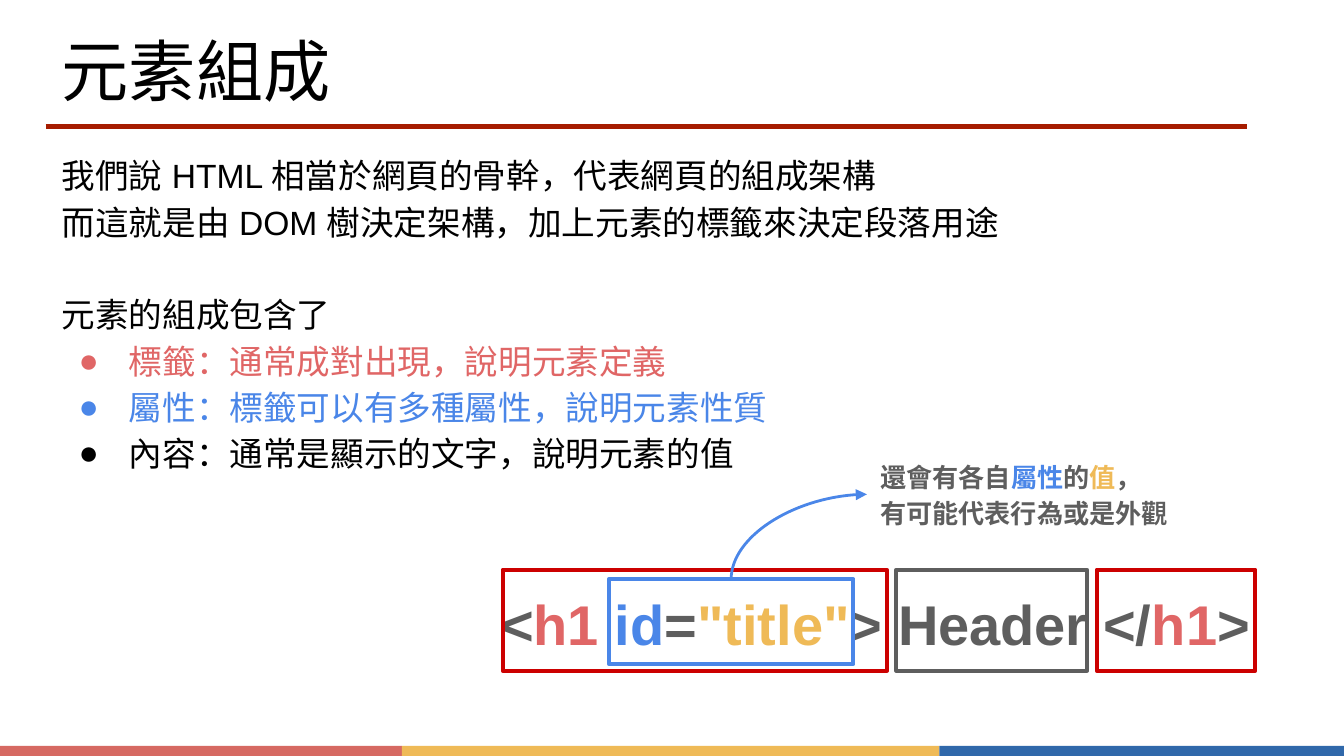
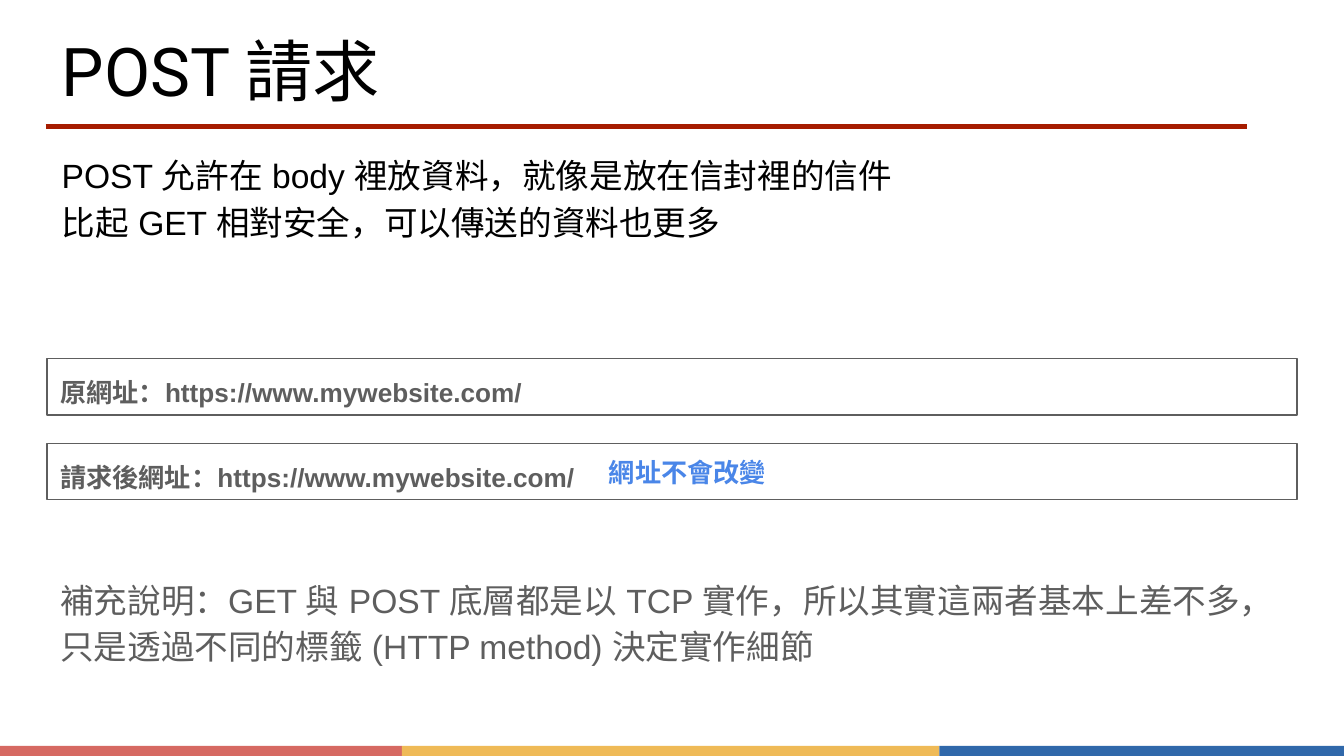
from dataclasses import dataclass
from itertools import pairwise

from lxml.etree import SubElement
from pptx import Presentation
from pptx.dml.color import RGBColor
from pptx.enum.shapes import MSO_CONNECTOR as Connector, MSO_SHAPE as Shape
from pptx.enum.text import MSO_ANCHOR as Anchor, MSO_AUTO_SIZE as AutoSize, PP_ALIGN as Align
from pptx.oxml.ns import qn
from pptx.util import Pt


@dataclass(frozen=True)
class Theme:
    black: str = "000000"
    grey: str = "5E5E5E"
    coral: str = "E06666"
    blue: str = "4A86E8"
    gold: str = "EFBA57"
    tag_red: str = "CC0000"
    rule_red: str = "A61C00"
    bands: tuple = ("D66962", "EFBA57", "3068AA")
    title_font: str = "Roboto"
    text_font: str = "Arial"
    title_size: int = 36
    code_size: int = 30
    body_size: int = 18
    note_size: int = 14


@dataclass
class Para:
    spans: list
    bullet: str = ""
    before: float = 0


THEME = Theme()
WIDTH, HEIGHT = 720, 405
BODY_AREA = (30.2, 77, 671, 304.6)
BAND_EDGES = (0, 215.3, 503.3, WIDTH)


def rgb(value):
    return RGBColor.from_string(value)


def add_bullet(para, color):
    props = para._p.get_or_add_pPr()
    props.set("marL", str(Pt(36)))
    props.set("indent", str(Pt(-27)))
    SubElement(SubElement(props, qn("a:buClr")), qn("a:srgbClr"), val=color)
    SubElement(props, qn("a:buFont"), typeface=THEME.text_font)
    SubElement(props, qn("a:buChar"), char="●")


def write(frame, paras, *, size, color=THEME.black, font=THEME.text_font, bold=False,
          align=Align.LEFT, anchor=Anchor.TOP, inset=7.2, spacing=1.0, after=0):
    """Fill a text frame; paras is a string or a list of Para with (text, colour) spans."""
    if isinstance(paras, str):
        paras = [Para([(paras, color)])]
    frame.word_wrap = True
    frame.auto_size = AutoSize.NONE
    frame.vertical_anchor = anchor
    frame.margin_left = frame.margin_right = Pt(inset)
    frame.margin_top = frame.margin_bottom = Pt(inset)
    for number, item in enumerate(paras):
        para = frame.add_paragraph() if number else frame.paragraphs[0]
        if item.bullet:
            add_bullet(para, item.bullet)
        para.alignment = align
        para.line_spacing = spacing
        para.space_before, para.space_after = Pt(item.before), Pt(after)
        for text, span_color in item.spans:
            for row, line in enumerate(text.split("\n")):
                if row:
                    para.add_line_break()
                span = para.add_run()
                span.text = line
                span.font.size = Pt(size)
                span.font.name = font
                span.font.bold = bold
                span.font.color.rgb = rgb(span_color)
                SubElement(span._r.get_or_add_rPr(), qn("a:ea"), typeface=font)


class SlideMaker:
    def __init__(self, deck):
        self.deck = deck
        self.page = None

    def start(self, title):
        """Open a slide with its title, rule and bottom bands."""
        self.page = self.deck.slides.add_slide(self.deck.slide_layouts[5])
        for (left, right), color in zip(pairwise(BAND_EDGES), THEME.bands):
            self.box(left, 399.6, right - left, HEIGHT - 399.6, fill=color)
        self.line(24.5, 67.7, 668.2, 67.7, color=THEME.rule_red, weight=3)
        holder = self.page.shapes.title
        holder.left, holder.top, holder.width, holder.height = map(Pt, (30.2, 14.4, 671, 45.4))
        write(holder.text_frame, title, size=THEME.title_size, font=THEME.title_font,
              anchor=Anchor.MIDDLE, inset=2.9)

    def box(self, *area, fill=None, line=None, weight=2.25):
        box = self.page.shapes.add_shape(Shape.RECTANGLE, *map(Pt, area))
        box.shadow.inherit = False
        if fill:
            box.fill.solid()
            box.fill.fore_color.rgb = rgb(fill)
        else:
            box.fill.background()
        if line:
            box.line.color.rgb = rgb(line)
            box.line.width = Pt(weight)
        else:
            box.line.fill.background()
        return box

    def text(self, area, paras, **style):
        box = self.page.shapes.add_textbox(*map(Pt, area))
        write(box.text_frame, paras, **style)

    def body(self, paras):
        self.text(BODY_AREA, paras, size=THEME.body_size, inset=2.9, spacing=1.15)

    def line(self, *ends, color, weight, kind=Connector.STRAIGHT):
        link = self.page.shapes.add_connector(kind, *map(Pt, ends))
        link.line.color.rgb = rgb(color)
        link.line.width = Pt(weight)
        SubElement(link._element.spPr, qn("a:effectLst"))
        return link

    def rising_arrow(self, x1, y1, x2, y2, color):
        """Quarter curve that leaves upwards and arrives rightwards."""
        mid_x, mid_y = (x1 + x2) / 2, (y1 + y2) / 2
        half_w, half_h = (y1 - y2) / 2, (x2 - x1) / 2
        link = self.line(mid_x - half_w, mid_y - half_h, mid_x + half_w, mid_y + half_h,
                         color=color, weight=1.5, kind=Connector.CURVE)
        props = link._element.spPr
        props.find(qn("a:xfrm")).set("rot", str(270 * 60000))
        props.find(qn("a:prstGeom")).set("prst", "curvedConnector2")
        SubElement(props.find(qn("a:ln")), qn("a:tailEnd"), type="triangle")


def element_slide(maker):
    maker.start("元素組成")
    parts = [
        ("標籤：通常成對出現，說明元素定義", THEME.coral),
        ("屬性：標籤可以有多種屬性，說明元素性質", THEME.blue),
        ("內容：通常是顯示的文字，說明元素的值", THEME.black),
    ]
    intro = ("我們說 HTML 相當於網頁的骨幹，代表網頁的組成架構\n"
             "而這就是由 DOM 樹決定架構，加上元素的標籤來決定段落用途")
    maker.body([
        Para([(intro, THEME.black)]),
        Para([("元素的組成包含了", THEME.black)], before=24.8),
        *(Para([part], bullet=part[1]) for part in parts),
    ])
    code = [("<", THEME.grey), ("h1 ", THEME.coral), ("id", THEME.blue), ("=", THEME.grey),
            ('"title"', THEME.gold), ("> Header </", THEME.grey), ("h1", THEME.coral),
            (">", THEME.grey)]
    maker.text((261.4, 302.4, 434.2, 62.6), [Para(code)], size=THEME.code_size, bold=True,
               anchor=Anchor.MIDDLE)
    for left, width, color in ((269.3, 205.9, THEME.tag_red), (480.2, 102.2, THEME.grey),
                               (587.5, 85, THEME.tag_red)):
        maker.box(left, 305.3, width, 54, line=color)
    maker.box(326.2, 310.3, 131, 45.4, line=THEME.blue)
    note = [("還會有各自", THEME.grey), ("屬性", THEME.blue), ("的", THEME.grey),
            ("值", THEME.gold), ("，\n有可能代表行為或是外觀", THEME.grey)]
    maker.text((464.4, 237.6, 205.9, 54), [Para(note)], size=THEME.note_size, bold=True,
               spacing=1.15, after=16)
    maker.rising_arrow(391.7, 310.3, 464.4, 264.8, THEME.blue)


def post_slide(maker):
    maker.start("POST 請求")
    maker.body("POST 允許在 body 裡放資料，就像是放在信封裡的信件\n"
               "比起 GET 相對安全，可以傳送的資料也更多")
    for top, label in ((192.2, "原網址"), (237.6, "請求後網址")):
        address = maker.box(25.2, top, 669.6, 30.2, line=THEME.grey, weight=0.75)
        write(address.text_frame, f"{label}：https://www.mywebsite.com/", size=THEME.note_size,
              color=THEME.grey, bold=True, spacing=1.15)
    maker.text((312.5, 237.6, 111.6, 30.2), "網址不會改變", size=THEME.note_size,
               color=THEME.blue, bold=True, align=Align.CENTER, anchor=Anchor.MIDDLE)
    maker.text((25.2, 300.2, 669.6, 59.8),
               "補充說明：GET 與 POST 底層都是以 TCP 實作，所以其實這兩者基本上差不多，"
               "只是透過不同的標籤 (HTTP method) 決定實作細節",
               size=THEME.body_size, color=THEME.grey, spacing=1.15, after=16)


def main():
    deck = Presentation()
    deck.slide_width, deck.slide_height = Pt(WIDTH), Pt(HEIGHT)
    maker = SlideMaker(deck)
    element_slide(maker)
    post_slide(maker)
    deck.save("out.pptx")


if __name__ == "__main__":
    main()
